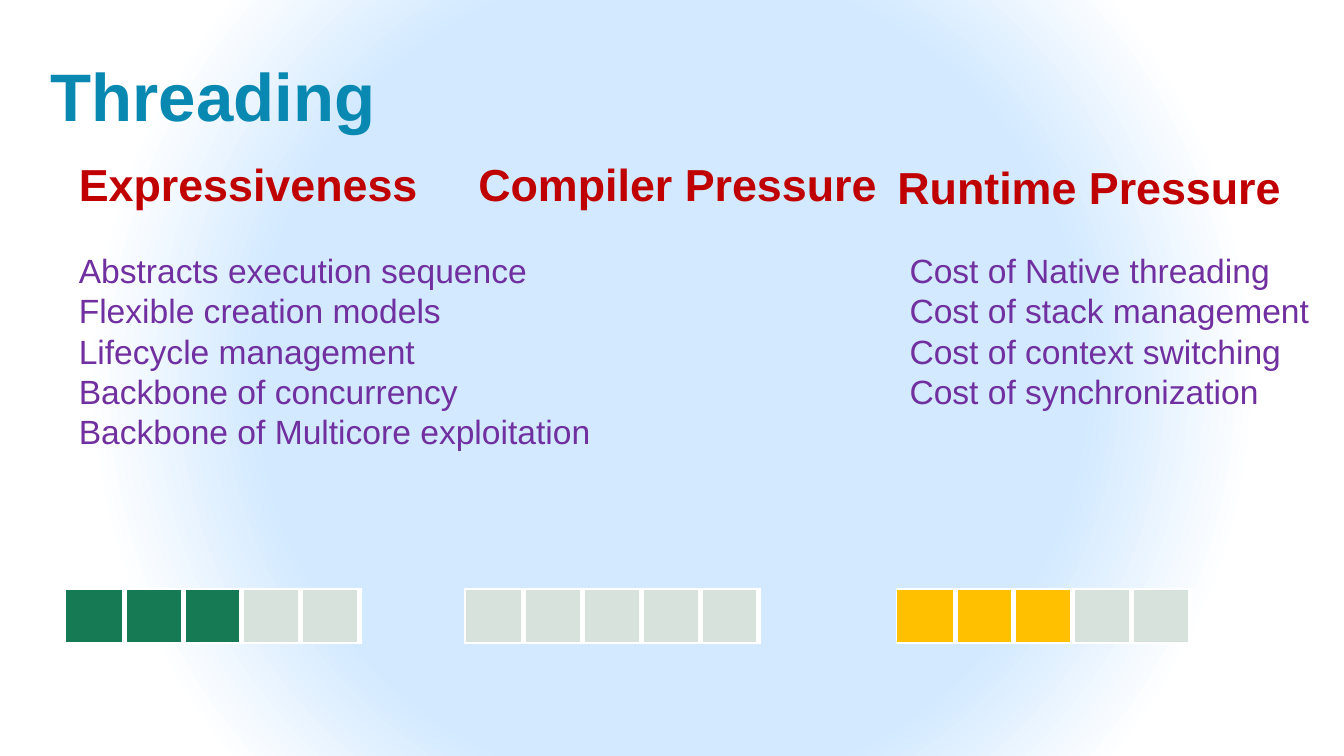
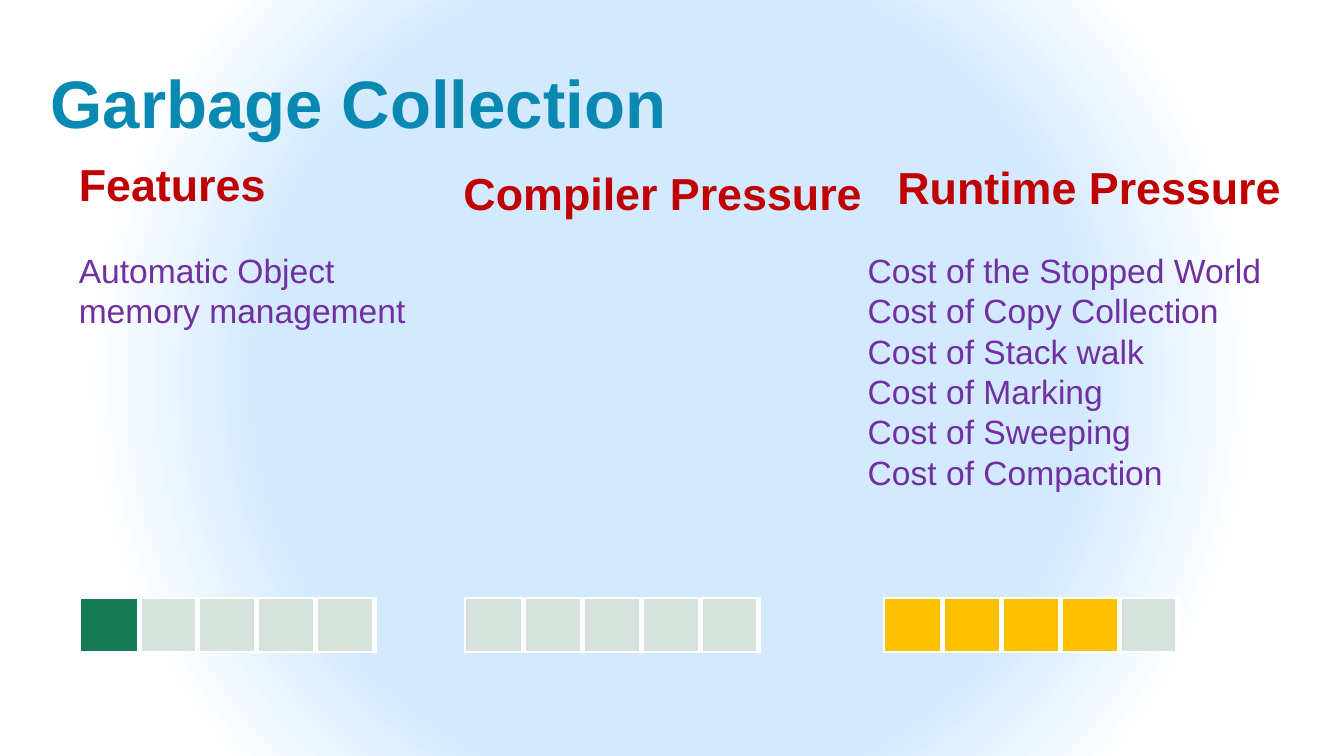
from dataclasses import dataclass

from lxml import etree
from pptx import Presentation
from pptx.dml.color import RGBColor
from pptx.enum.text import MSO_AUTO_SIZE
from pptx.oxml import parse_xml
from pptx.oxml.ns import nsdecls, qn
from pptx.util import Cm, Pt

FIT_SHAPE = MSO_AUTO_SIZE.SHAPE_TO_FIT_TEXT


@dataclass(frozen=True)
class Theme:
    font: str = "Arial"
    title: str = "0989B1"
    heading: str = "C00000"
    body: str = "7030A0"
    benefit: str = "167B54"
    cost: str = "FFC000"
    unlit: str = "D7E2DC"
    divider: str = "FFFFFF"
    glow: str = "D2E9FF"
    edge: str = "FFFFFF"
    title_size: int = 36
    heading_size: int = 24
    body_size: int = 18
    divider_width: int = 3


THEME = Theme()
METER_STEPS = 5
STEP_WIDTH, METER_HEIGHT = 1.11, 1.02
BODY_TOP, LINE_HEIGHT, INSETS = 4.6, 0.77, 0.25


def add_text(slide, lines, left, top, width, height, size, color, bold=False):
    box = slide.shapes.add_textbox(Cm(left), Cm(top), Cm(width), Cm(height))
    frame = box.text_frame
    frame.word_wrap = True
    frame.auto_size = FIT_SHAPE
    for number, line in enumerate(lines):
        paragraph = frame.add_paragraph() if number else frame.paragraphs[0]
        run = paragraph.add_run()
        run.text = line
        run.font.name = THEME.font
        run.font.size = Pt(size)
        run.font.bold = bold
        run.font.color.rgb = RGBColor.from_string(color)


def add_meter(slide, left, top, score, color):
    meter = slide.shapes.add_table(
        1, METER_STEPS, Cm(left), Cm(top), Cm(STEP_WIDTH * METER_STEPS), Cm(METER_HEIGHT)
    ).table
    meter.first_row = False
    meter.horz_banding = False
    for step in range(METER_STEPS):
        meter.columns[step].width = Cm(STEP_WIDTH)
        cell = meter.cell(0, step)
        cell.fill.solid()
        cell.fill.fore_color.rgb = RGBColor.from_string(color if step < score else THEME.unlit)
        # Borders come before the fill in the cell properties
        properties = cell._tc.get_or_add_tcPr()
        for position, side in enumerate(["a:lnL", "a:lnR"] if step else ["a:lnR"]):
            border = etree.Element(qn(side), w=str(Pt(THEME.divider_width)))
            fill = etree.SubElement(border, qn("a:solidFill"))
            etree.SubElement(fill, qn("a:srgbClr"), val=THEME.divider)
            properties.insert(position, border)


# Content: headings as (text, left, top, width), lists as (lines, left, width, line count),
# meters as (left, score, colour)
topics = [
    {
        "title": ("Threading", 0.91, 7.24),
        "headings": [
            ("Expressiveness", 1.24, 2.84, 7.57),
            ("Compiler Pressure", 8.79, 2.84, 8.15),
            ("Runtime Pressure", 16.71, 2.9, 8.15),
        ],
        "lists": [
            ([
                "Abstracts execution sequence",
                "Flexible creation models",
                "Lifecycle management",
                "Backbone of concurrency",
                "Backbone of Multicore exploitation",
            ], 1.24, 10.74, 5),
            ([
                "Cost of Native threading",
                "Cost of stack management",
                "Cost of context switching",
                "Cost of synchronization",
            ], 16.94, 8.23, 4),
        ],
        "meter_top": 11.13,
        "meters": [(1.24, 3, THEME.benefit), (8.79, 0, THEME.unlit), (16.94, 3, THEME.cost)],
    },
    {
        "title": ("Garbage Collection", 1.04, 13.36),
        "headings": [
            ("Features", 1.24, 2.84, 7.57),
            ("Compiler Pressure", 8.51, 3.0, 8.15),
            ("Runtime Pressure", 16.71, 2.9, 8.15),
        ],
        "lists": [
            (["Automatic Object memory management"], 1.24, 7.67, 2),
            ([
                "Cost of the Stopped World",
                "Cost of Copy Collection",
                "Cost of Stack walk",
                "Cost of Marking",
                "Cost of Sweeping",
                "Cost of Compaction",
            ], 16.15, 8.23, 6),
        ],
        "meter_top": 11.3,
        "meters": [(1.52, 1, THEME.benefit), (8.79, 0, THEME.unlit), (16.71, 4, THEME.cost)],
    },
]

prs = Presentation()
prs.slide_width, prs.slide_height = Cm(25.4), Cm(14.29)
blank_layout = prs.slide_layouts[6]

# Shared background: a round glow fading to the edges
master = prs.slide_master
master.background.fill.gradient()
default_gradient = master.element.xpath("./p:cSld/p:bg/p:bgPr/a:gradFill")[0]
glow_stops = [(53, THEME.glow)] + [(stop, THEME.edge) for stop in (76, 80, 84, 94, 96, 100)]
stops_xml = "".join(
    f'<a:gs pos="{stop * 1000}"><a:srgbClr val="{color}"/></a:gs>' for stop, color in glow_stops
)
glow = parse_xml(
    f'<a:gradFill {nsdecls("a")} rotWithShape="1"><a:gsLst>{stops_xml}</a:gsLst>'
    '<a:path path="circle"><a:fillToRect l="50000" t="50000" r="50000" b="50000"/></a:path>'
    "</a:gradFill>"
)
default_gradient.getparent().replace(default_gradient, glow)

for topic in topics:
    slide = prs.slides.add_slide(blank_layout)

    # Title
    title, top, width = topic["title"]
    add_text(slide, [title], 0.71, top, width, 1.8, THEME.title_size, THEME.title, bold=True)

    # Points under the headings
    for lines, left, width, line_count in topic["lists"]:
        height = INSETS + LINE_HEIGHT * line_count
        add_text(slide, lines, left, BODY_TOP, width, height, THEME.body_size, THEME.body)

    # Column headings
    for heading, left, top, width in topic["headings"]:
        add_text(slide, [heading], left, top, width, 1.27,
                 THEME.heading_size, THEME.heading, bold=True)

    # Score meters
    for left, score, color in topic["meters"]:
        add_meter(slide, left, topic["meter_top"], score, color)

prs.save("out.pptx")
